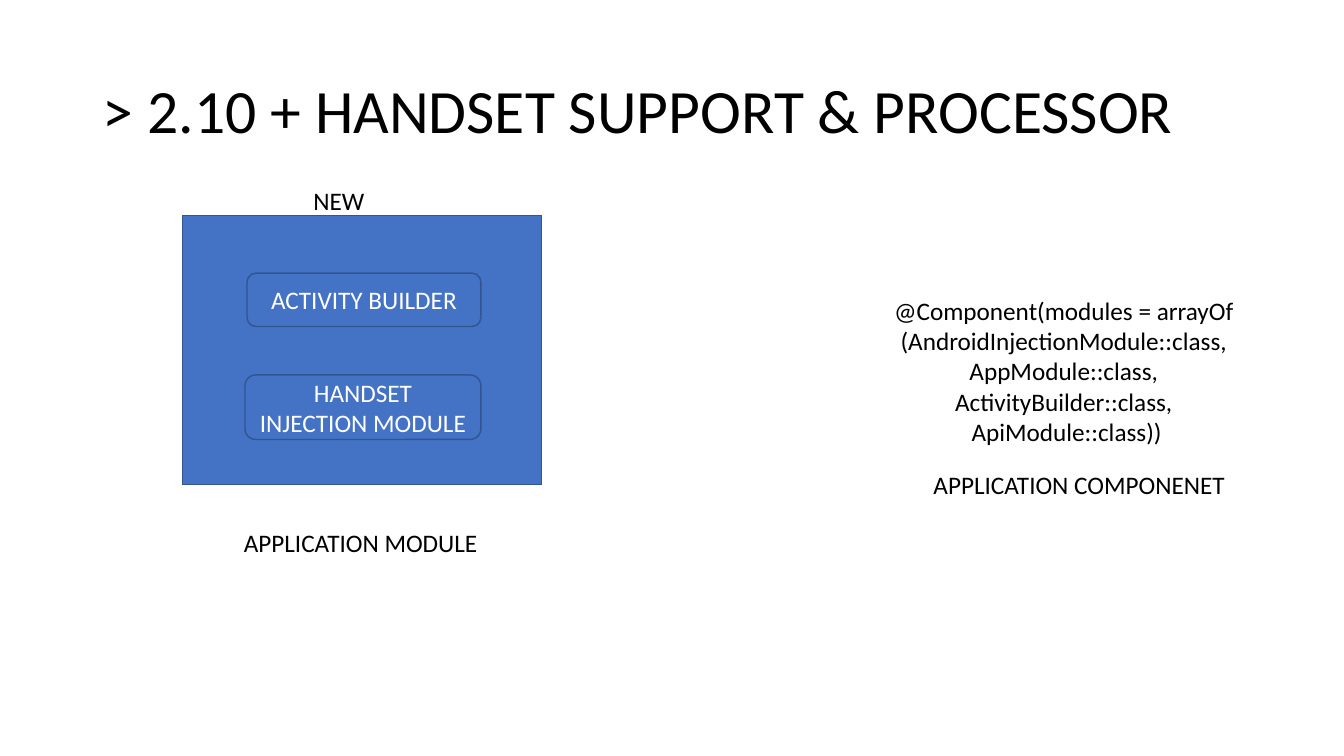
import pptx
import pptx.util
import pptx.dml.color
import pptx.enum.shapes
import pptx.enum.text

Inches = pptx.util.Inches
Kind = pptx.enum.shapes.MSO_SHAPE
Align = pptx.enum.text.PP_ALIGN
Anchor = pptx.enum.text.MSO_ANCHOR
Fit = pptx.enum.text.MSO_AUTO_SIZE

TITLE = "> 2.10 + HANDSET SUPPORT & PROCESSOR"
CODE = [
    "@Component(modules = arrayOf ",
    "(AndroidInjectionModule::class, ",
    "AppModule::class, ",
    "ActivityBuilder::class, ",
    "ApiModule::class))",
]
BOXES = [
    ("", Kind.RECTANGLE, (1.81, 2.14, 3.56, 2.67)),
    ("ACTIVITY BUILDER", Kind.ROUNDED_RECTANGLE, (2.45, 2.71, 2.32, 0.53)),
    ("HANDSET INJECTION MODULE", Kind.ROUNDED_RECTANGLE, (2.43, 3.72, 2.34, 0.64)),
]
LABELS = [
    ("NEW", (3.01, 1.79, 0.71, 0.4), Align.LEFT),
    ("APPLICATION MODULE", (2.32, 5.18, 2.54, 0.4), Align.LEFT),
    ("APPLICATION COMPONENET", (9.16, 4.61, 3.12, 0.4), Align.LEFT),
    ("\n".join(CODE), (8.75, 2.88, 3.66, 1.62), Align.CENTER),
]


def color(code):
    return pptx.dml.color.RGBColor.from_string(code)


def place(at):
    return [Inches(n) for n in at]


def write(frame, text, size, ink, align, anchor):
    frame.text = text
    frame.vertical_anchor = anchor
    for para in frame.paragraphs:
        para.alignment = align
        for run in para.runs:
            run.font.name = "Calibri"
            run.font.size = pptx.util.Pt(size)
            run.font.color.rgb = color(ink)


deck = pptx.Presentation()
deck.slide_width, deck.slide_height = place((13.33, 7.5))
slide = deck.slides.add_slide(deck.slide_layouts[5])

title = slide.shapes.title
title.left, title.top, title.width, title.height = place((0.92, 0.4, 11.5, 1.45))
write(title.text_frame, TITLE, 44, "000000", Align.LEFT, Anchor.MIDDLE)
title.text_frame.paragraphs[0].line_spacing = 0.9

for text, kind, at in BOXES:
    box = slide.shapes.add_shape(kind, *place(at))
    box.shadow.inherit = False
    box.fill.solid()
    box.fill.fore_color.rgb = color("4472C4")
    box.line.color.rgb = color("325491")
    box.line.width = pptx.util.Pt(1)
    if text:
        write(box.text_frame, text, 18, "FFFFFF", Align.CENTER, Anchor.MIDDLE)

for text, at, align in LABELS:
    frame = slide.shapes.add_textbox(*place(at)).text_frame
    write(frame, text, 18, "000000", align, Anchor.TOP)
    frame.word_wrap = False
    frame.auto_size = Fit.SHAPE_TO_FIT_TEXT

deck.save("out.pptx")
